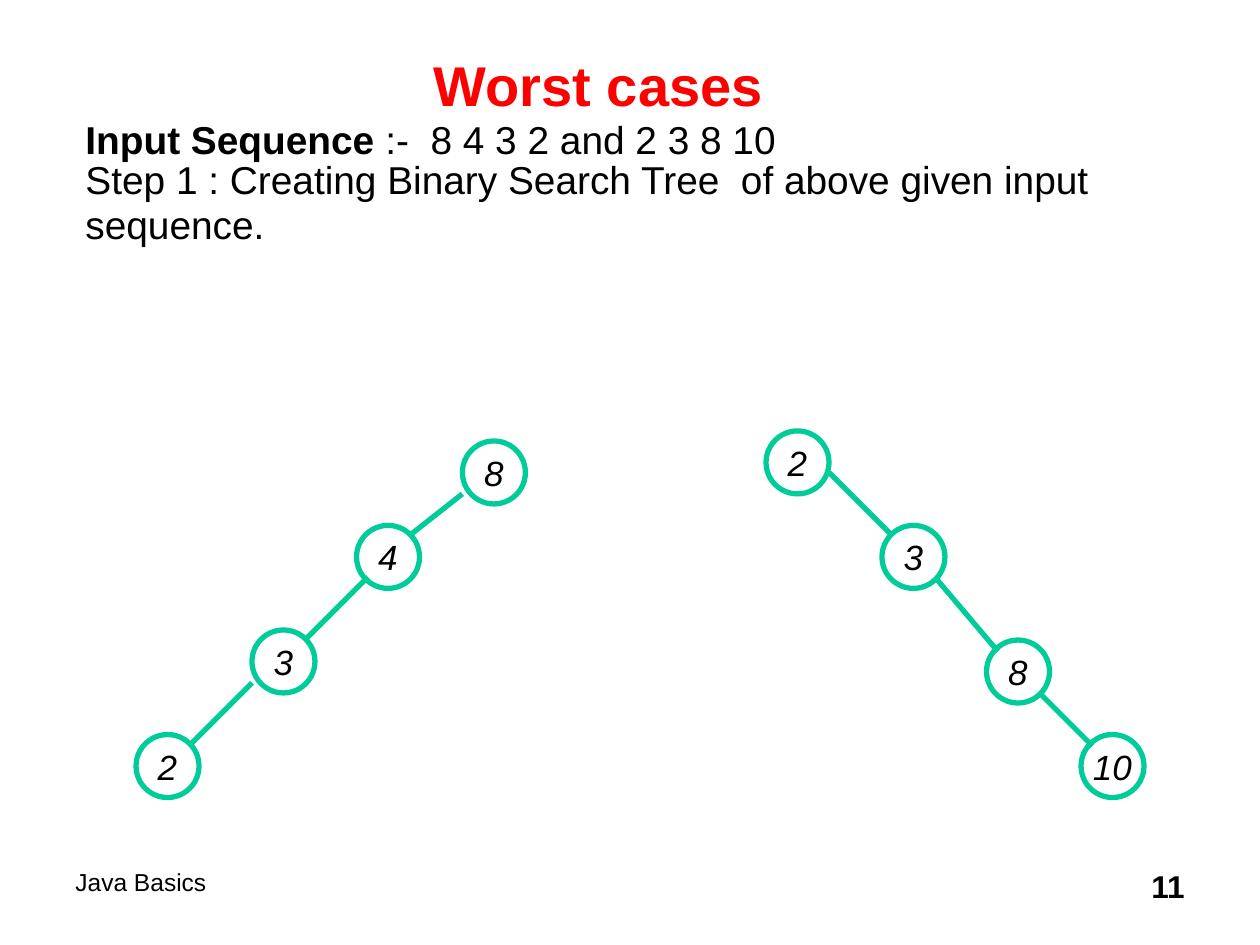
from lxml import etree
from pptx import Presentation
from pptx.dml.color import RGBColor
from pptx.enum import shapes, text
from pptx.oxml import ns
from pptx.util import Inches, Pt

COLORS = {"title": "FF0000", "ink": "000000", "tree": "00CC99", "node": "FFFFFF"}
NODE_SIZE = 0.5


class TreeSlide:
    """Holds the style and the slide being drawn."""

    font_name = "Arial"

    def __init__(self, slide):
        self.slide = slide

    def color(self, key):
        return RGBColor.from_string(COLORS[key])

    def style(self, font, size, color="ink", bold=False, italic=False):
        font.name, font.size = self.font_name, Pt(size)
        font.bold, font.italic = bold, italic
        font.color.rgb = self.color(color)

    def text_box(self, left, top, width, height):
        box = self.slide.shapes.add_textbox(
            Inches(left), Inches(top), Inches(width), Inches(height))
        box.text_frame.word_wrap = True
        return box.text_frame

    def label(self, place, words, size, align, color="ink", bold=False,
              anchor=text.MSO_ANCHOR.TOP):
        frame = self.text_box(*place)
        frame.vertical_anchor = anchor
        paragraph = frame.paragraphs[0]
        paragraph.text, paragraph.alignment = words, align
        self.style(paragraph.font, size, color, bold)

    def body(self, place, lines, size):
        """Each line is its space before and a list of (words, bold)."""
        frame = self.text_box(*place)
        for index, (space, runs) in enumerate(lines):
            paragraph = frame.add_paragraph() if index else frame.paragraphs[0]
            paragraph.line_spacing, paragraph.space_before = 0.6, Pt(space)
            self.style(paragraph.font, size)
            for words, bold in runs:
                run = paragraph.add_run()
                run.text, run.font.bold = words, bold

    def edge(self, start, end, color="tree", width=3):
        line = self.slide.shapes.add_connector(
            shapes.MSO_CONNECTOR.STRAIGHT, *map(Inches, start + end))
        line.line.color.rgb, line.line.width = self.color(color), Pt(width)
        etree.SubElement(line._element.spPr, ns.qn("a:effectLst"))

    def node(self, value, left, top):
        circle = self.slide.shapes.add_shape(
            shapes.MSO_SHAPE.OVAL, Inches(left), Inches(top),
            Inches(NODE_SIZE), Inches(NODE_SIZE))
        circle.shadow.inherit = False
        circle.fill.solid()
        circle.fill.fore_color.rgb = self.color("node")
        circle.line.color.rgb, circle.line.width = self.color("tree"), Pt(3)
        frame = circle.text_frame
        frame.word_wrap = False
        frame.vertical_anchor = text.MSO_ANCHOR.MIDDLE
        paragraph = frame.paragraphs[0]
        paragraph.text, paragraph.alignment = value, text.PP_ALIGN.CENTER
        self.style(paragraph.font, 20, italic=True)

    def tree(self, nodes, edges):
        for node in nodes:
            self.node(*node)
        for start, end in edges:
            self.edge(start, end)


def main():
    deck = Presentation()
    deck.slide_width, deck.slide_height = Inches(10), Inches(7.5)
    page = TreeSlide(deck.slides.add_slide(deck.slide_layouts[6]))
    align = text.PP_ALIGN

    # Heading and explanation
    page.label((0.5, 0.42, 8.5, 0.49), "Worst cases", 32, align.CENTER,
               "title", True, text.MSO_ANCHOR.MIDDLE)
    page.body((0.58, 1, 9, 1.5), [
        (6, [("Input Sequence", True), (" :-  8 4 3 2 and 2 3 8 10", False)]),
        (6.7, [("Step 1 : Creating Binary Search Tree  of above given input", False)]),
        (9.8, [("sequence.", False)]),
    ], 22.2)

    # Small dot above the trees
    page.edge((5.08, 2.5), (5.08, 2.5), "ink", 0.75)

    # Ascending input leans right
    page.tree(
        [("2", 6.08, 3.42), ("3", 7, 4.17), ("8", 7.83, 5.08), ("10", 8.58, 5.83)],
        [((6.58, 3.75), (7.08, 4.25)), ((7.42, 4.58), (7.92, 5.17)),
         ((8.25, 5.5), (8.67, 5.92))])

    # Descending input leans left
    page.tree(
        [("8", 3.67, 3.5), ("4", 2.83, 4.17), ("3", 2, 5), ("2", 1.08, 5.83)],
        [((3.67, 3.92), (3.25, 4.25)), ((2.92, 4.58), (2.42, 5.08)),
         ((2, 5.42), (1.5, 5.92))])

    # Footer
    page.label((7.42, 6.83, 2.08, 0.5), "11", 18, align.RIGHT, bold=True)
    page.label((0.5, 6.83, 2.5, 0.5), "Java Basics", 14, align.LEFT)

    deck.save("out.pptx")


if __name__ == "__main__":
    main()
